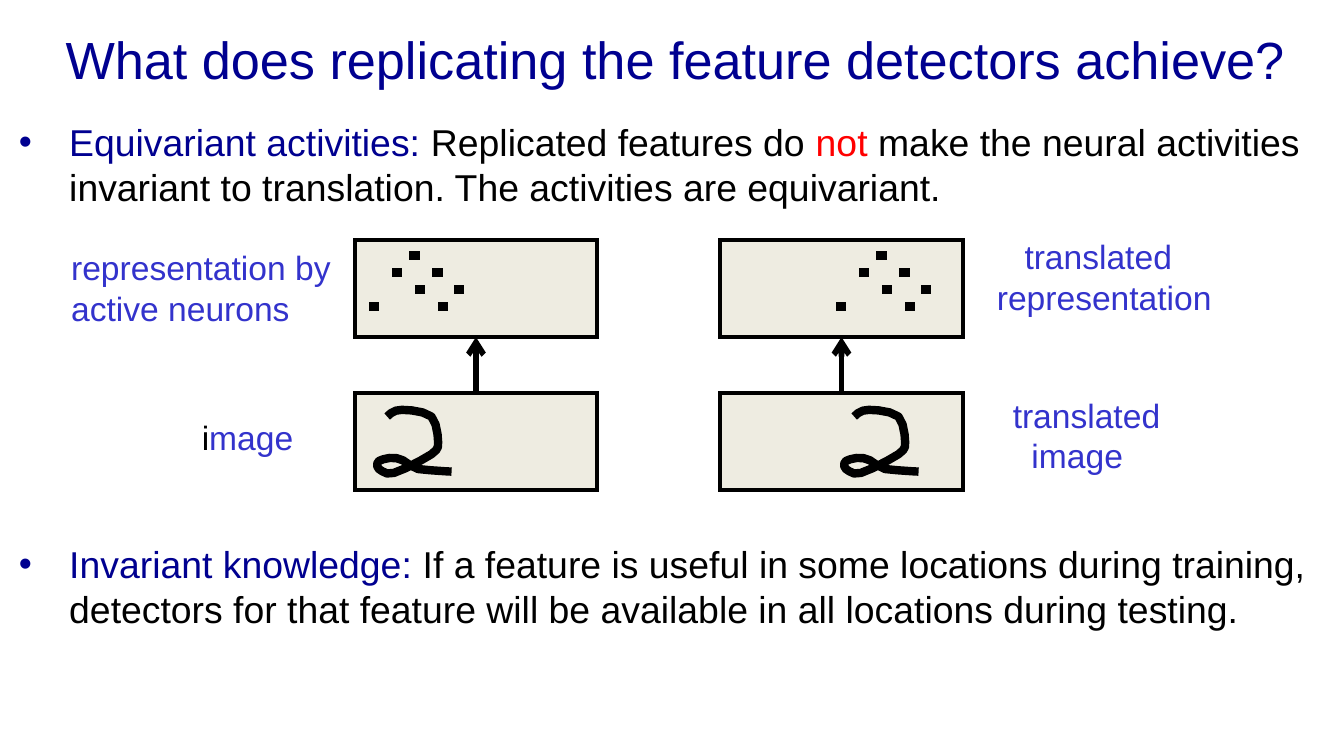
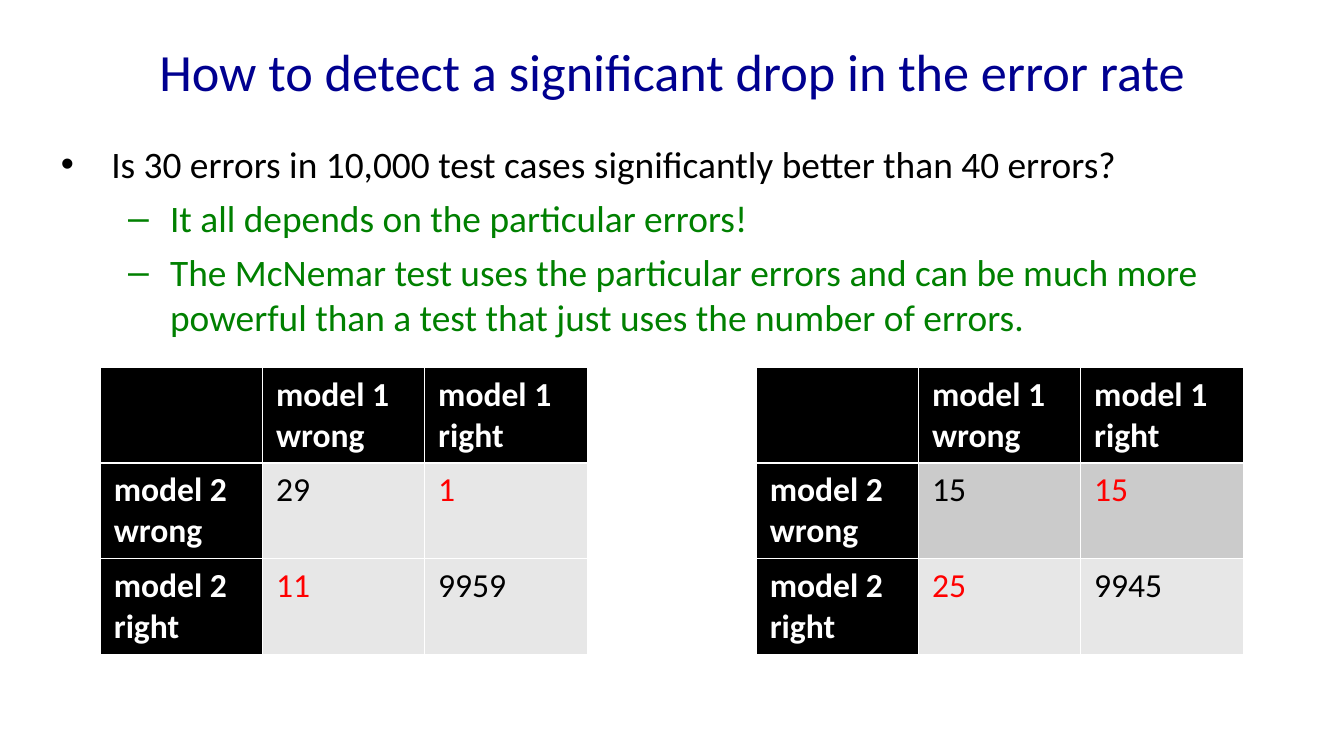
import pptx
import pptx.util
import pptx.dml.color
import pptx.enum.dml
import pptx.enum.shapes
import pptx.enum.text
import pptx.oxml
import pptx.oxml.ns
import lxml.etree

Pt = pptx.util.Pt
RGB = pptx.dml.color.RGBColor.from_string
MSO = pptx.enum.shapes.MSO_SHAPE
ANCHOR = pptx.enum.text.MSO_ANCHOR
ALIGN = pptx.enum.text.PP_ALIGN
NO_FIT = pptx.enum.text.MSO_AUTO_SIZE.NONE
qn = pptx.oxml.ns.qn

theme = {
    "navy": "000090", "black": "000000", "red": "FF0000", "blue": "3333CC",
    "green": "008000", "white": "FFFFFF", "cream": "EEECE1",
    "light": "E7E7E7", "grey": "CBCBCB",
    "title": 28, "body": 20, "label": 18,
}


def apply(obj, values):
    for name, value in values.items():
        setattr(obj, name, value)


def write(tf, paragraphs, font, size, bold=False):
    tf.word_wrap = True
    for i, para in enumerate(paragraphs):
        p = tf.paragraphs[0] if i == 0 else tf.add_paragraph()
        apply(p, para.get("format", {}))
        pPr = p._p.get_or_add_pPr()
        margin, indent = para.get("indent", (0, 0))
        pPr.set("marL", str(Pt(margin)))
        pPr.set("indent", str(Pt(indent)))
        if "bullet" in para:
            char, color = para["bullet"]
            clr = lxml.etree.SubElement(pPr, qn("a:buClr"))
            lxml.etree.SubElement(clr, qn("a:srgbClr"), val=theme[color])
            lxml.etree.SubElement(pPr, qn("a:buFont"), typeface="Arial")
            lxml.etree.SubElement(pPr, qn("a:buChar"), char=char)
        for text, color in para["runs"]:
            r = p.add_run()
            r.text = text
            apply(r.font, {"name": font, "size": Pt(size), "bold": bold})
            r.font.color.rgb = RGB(theme[color])


prs = pptx.Presentation()
apply(prs, {"slide_width": Pt(720), "slide_height": Pt(405)})

main = {"indent": (27, -27)}
sub = {"indent": (58.5, -22.5), "bullet": ("–", "green"),
       "format": {"level": 1, "space_before": Pt(5)}}
pages = [
    {"font": "Arial", "title": "What does replicating the feature detectors achieve?",
     "title_box": (19.5, -2.2, 684, 67.5), "body_box": (3, 60.5, 706.5, 310),
     "body": [
         {**main, "bullet": ("•", "navy"), "runs": [
             ("Equivariant activities: ", "navy"), ("Replicated features do ", "black"),
             ("not", "red"),
             (" make the neural activities invariant to translation. "
              "The activities are equivariant.", "black")]},
         {**main, "bullet": ("•", "navy"), "format": {"space_before": Pt(178)}, "runs": [
             ("Invariant knowledge: ", "navy"),
             ("If a feature is useful in some locations during training, detectors for "
              "that feature will be available in all locations during testing.", "black")]}]},
    {"font": "Calibri", "title": "How to detect a significant drop in the error rate",
     "title_box": (36, 4.2, 648, 67.5), "body_box": (25.5, 72, 680, 267),
     "body": [
         {**main, "bullet": ("•", "black"), "runs": [
             ("Is 30 errors in 10,000 test cases significantly better than 40 errors?",
              "black")]},
         {**sub, "runs": [("It all depends on the particular errors!", "green")]},
         {**sub, "runs": [
             ("The McNemar test uses the particular errors and can be much more "
              "powerful than a test that just uses the number of errors.", "green")]}]},
]

slides = []
for page in pages:
    s = prs.slides.add_slide(prs.slide_layouts[5])
    slides.append(s)
    sp = s.shapes.title
    apply(sp, dict(zip(("left", "top", "width", "height"), map(Pt, page["title_box"]))))
    apply(sp.text_frame, {"vertical_anchor": ANCHOR.MIDDLE, "auto_size": NO_FIT})
    write(sp.text_frame, [{"runs": [(page["title"], "navy")],
                           "format": {"alignment": ALIGN.CENTER}}],
          page["font"], theme["title"])
    sp = s.shapes.add_textbox(*map(Pt, page["body_box"]))
    write(sp.text_frame, page["body"], page["font"], theme["body"])

s = slides[0]
frame_w, frame_h = 130, 52
image_top, neurons_top = 210.7, 128.6
dot_w, dot_h, dot_top, dot_step = 3.6, 2.9, 135.4, 9.1
dot_rows = [(220.3,), (211, 232.6), (223.2, 244.1), (198.7, 235.4)]
digit_start = (5.8, 3.6)
digit_curves = [
    ((7.9, 1.4), (10.1, 0), (13.7, 0)),
    ((18, 0), (25.9, 0.7), (29.5, 3.6)),
    ((32.4, 6.5), (33.1, 14.4), (33.1, 17.3)),
    ((33.1, 20.9), (33.1, 20.9), (29.5, 23.8)),
    ((25.2, 26.6), (14.4, 32.4), (9.4, 33.8)),
    ((5, 35.3), (2.9, 32.4), (1.4, 31.7)),
    ((0, 30.2), (0, 28.8), (1.4, 27.4)),
    ((2.9, 26.6), (7.2, 25.2), (10.8, 25.9)),
    ((14.4, 25.9), (17.3, 30.2), (22.3, 31.7)),
    ((26.6, 32.4), (40.3, 33.1), (40.3, 33.1)),
]
steps = 3
digit = [digit_start]
for curve in digit_curves:
    ends = (digit[-1], *curve)
    for k in range(1, steps + 1):
        t = k / steps
        weights = ((1 - t) ** 3, 3 * t * (1 - t) ** 2, 3 * t * t * (1 - t), t ** 3)
        digit.append(tuple(sum(w * e[axis] for w, e in zip(weights, ends))
                           for axis in (0, 1)))

for frame_left, shift in ((190, 0), (385.8, 250.2)):
    boxes = [(frame_left, top, frame_w, frame_h, "cream")
             for top in (image_top, neurons_top)]
    boxes += [(x + shift, dot_top + row * dot_step, dot_w, dot_h, "black")
              for row, xs in enumerate(dot_rows) for x in xs]
    rects = []
    for *box, color in boxes:
        sp = s.shapes.add_shape(MSO.RECTANGLE, *map(Pt, box))
        sp.shadow.inherit = False
        sp.fill.solid()
        sp.fill.fore_color.rgb = RGB(theme[color])
        sp.line.color.rgb = RGB(theme["black"])
        sp.line.width = Pt(2)
        lxml.etree.SubElement(sp.line._get_or_add_ln(), qn("a:miter"), lim="800000")
        rects.append(sp)

    center = Pt(frame_left + frame_w / 2)
    arrow = s.shapes.add_connector(pptx.enum.shapes.MSO_CONNECTOR.STRAIGHT, center,
                                   Pt(image_top), center, Pt(neurons_top + frame_h))
    arrow.begin_connect(rects[0], 0)
    arrow.end_connect(rects[1], 2)
    arrow.line.color.rgb = RGB(theme["black"])
    arrow.line.width = Pt(3)
    lxml.etree.SubElement(arrow.line._get_or_add_ln(), qn("a:tailEnd"), type="arrow")
    lxml.etree.SubElement(arrow._element.spPr, qn("a:effectLst"))

    points = [((201.6 + shift + x) * 100, (219.6 + y) * 100) for x, y in digit]
    fb = s.shapes.build_freeform(*points[0], scale=Pt(1) / 100)
    fb.add_line_segments(points[1:], close=False)
    sp = fb.convert_to_shape()
    sp.shadow.inherit = False
    sp.fill.background()
    sp.line.color.rgb = RGB(theme["black"])
    sp.line.width = Pt(4.5)

labels = [
    ((31, 129, 156, 50.4), (0, 0), [("representation by active neurons", "blue")]),
    ((101, 219.6, 68, 29), (0, 0), [("i", "black"), ("mage", "blue")]),
    ((527, 123, 132.5, 50.4), (0, 14.8), [("translated representation", "blue")]),
    ((535.5, 208, 112.3, 50.4), (10, -10), [("translated image", "blue")]),
]
for box, indent, runs in labels:
    sp = s.shapes.add_textbox(*map(Pt, box))
    write(sp.text_frame, [{"indent": indent, "runs": runs}], "Arial", theme["label"])

s = slides[1]
col_w, row_h = 86.9, 51.2
tables = [
    (53.8, "light", [("29", "1"), ("11", "9959")]),
    (405.2, "grey", [("15", "15"), ("25", "9945")]),
]
for left, first_fill, counts in tables:
    tbl = s.shapes.add_table(3, 3, Pt(left), Pt(196.8), Pt(3 * col_w), Pt(3 * row_h)).table
    for col in tbl.columns:
        col.width = Pt(col_w)
    for row in tbl.rows:
        row.height = Pt(row_h)
    grid = [("", "model 1 wrong", "model 1 right"),
            ("model 2 wrong", *counts[0]), ("model 2 right", *counts[1])]
    for i, texts in enumerate(grid):
        for j, text in enumerate(texts):
            cell = tbl.cell(i, j)
            header = i == 0 or j == 0
            fill = "black" if header else first_fill if i == 1 else "light"
            color = "white" if header else "black" if i == j else "red"
            cell.fill.solid()
            cell.fill.fore_color.rgb = RGB(theme[fill])
            if text:
                write(cell.text_frame, [{"runs": [(text, color)]}],
                      "Calibri", theme["label"], header)
            tcPr = cell._tc.get_or_add_tcPr()
            for k, side in enumerate("LRTB"):
                thick = (i, side) in ((0, "B"), (1, "T"))
                ln = lxml.etree.Element(qn("a:ln" + side), w=str(Pt(1.47 if thick else 0.45)))
                solid = lxml.etree.SubElement(ln, qn("a:solidFill"))
                lxml.etree.SubElement(solid, qn("a:srgbClr"), val=theme["white"])
                tcPr.insert(k, ln)

prs.save("out.pptx")
